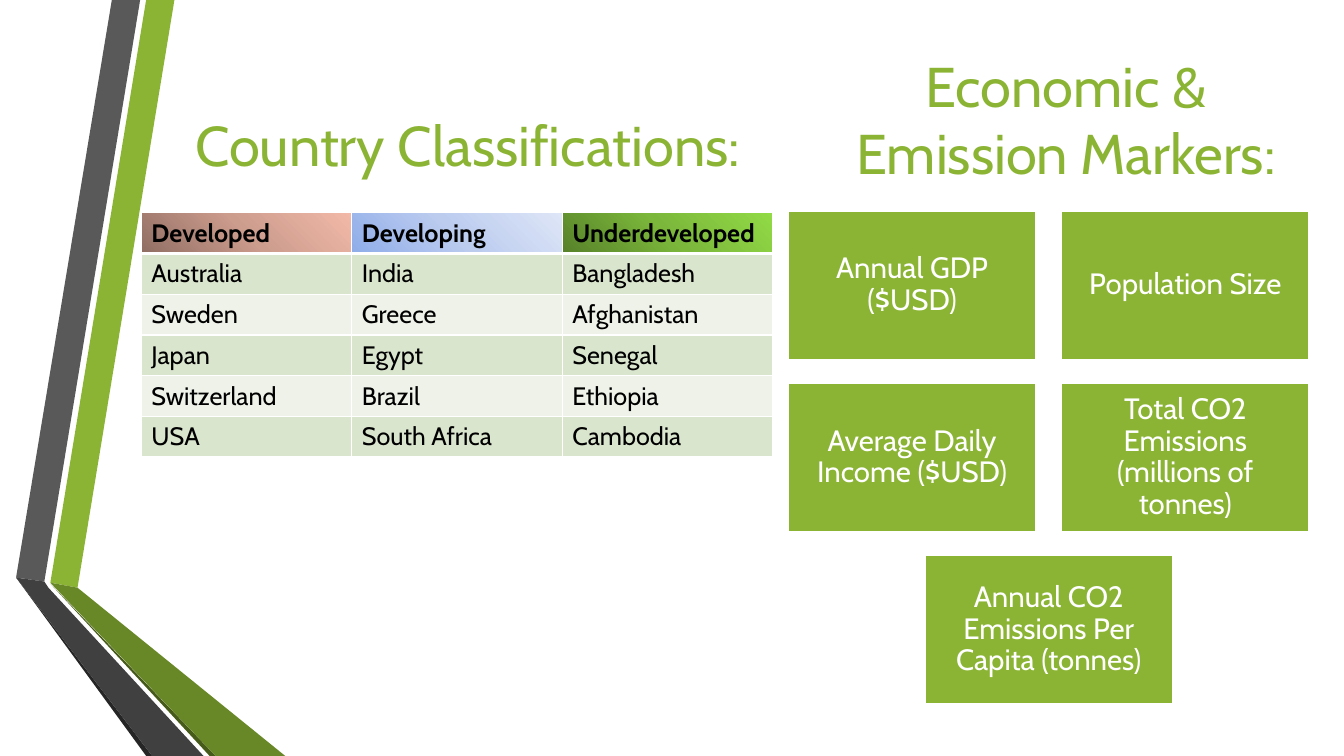
from copy import deepcopy

from lxml import etree
from pptx import Presentation
from pptx.dml.color import RGBColor
from pptx.enum.shapes import MSO_SHAPE
from pptx.enum.text import MSO_ANCHOR, PP_ALIGN
from pptx.oxml.ns import qn
from pptx.util import Pt

RECTANGLE = MSO_SHAPE.RECTANGLE
CENTER, LEFT = PP_ALIGN.CENTER, PP_ALIGN.LEFT
BOTTOM, MIDDLE, TOP = MSO_ANCHOR.BOTTOM, MSO_ANCHOR.MIDDLE, MSO_ANCHOR.TOP

WIDTH, HEIGHT = 960, 540
GREEN, WHITE, BLACK = "8BB434", "FFFFFF", "000000"
BANDS = ("DAE5CE", "EEF2E8")

RIBBONS = [
    (GREEN, [(36, 416.2), (55.4, 419.8), (124.6, 0), (104.4, 0)]),
    ("595959", [(100.1, 0), (79.9, 0), (11.5, 412.6), (31.7, 415.4)]),
    ("262626", [(11.5, 412.6), (104.4, HEIGHT), (108.7, HEIGHT)]),
    ("465A1A", [(36, 416.9), (149.8, HEIGHT), (154.1, HEIGHT)]),
    ("688727", [(36, 416.2), (154.1, HEIGHT), (203.8, HEIGHT), (55.4, 419.8)]),
    ("404040", [(145.4, HEIGHT), (34.6, 419.8), (31.7, 415.4), (11.5, 412.6),
                (108.7, HEIGHT)]),
]
HEADER_GRADIENTS = [
    ("906E63", "CC9C8D", "F2B9A8"),
    ("8FADE9", "BCCCEF", "DEE6F7"),
    ("57812A", "7BB73B", "92DA46"),
]
COUNTRIES = [
    ("Developed", "Developing", "Underdeveloped"),
    ("Australia", "India", "Bangladesh"),
    ("Sweden", "Greece", "Afghanistan"),
    ("Japan", "Egypt", "Senegal"),
    ("Switzerland", "Brazil", "Ethiopia"),
    ("USA", "South Africa", "Cambodia"),
]
# Each marker with its column and row; column 0.5 is centred between the two.
MARKERS = [
    ("Annual GDP ($USD)", 0, 0),
    ("Population Size", 1, 0),
    ("Average Daily Income ($USD)", 0, 1),
    ("Total CO2 Emissions (millions of tonnes)", 1, 1),
    ("Annual CO2 Emissions Per Capita (tonnes)", 0.5, 2),
]


def color(hex_string):
    return RGBColor.from_string(hex_string)


def write(frame, text, size=18, ink=BLACK, bold=False, align=LEFT, anchor=TOP,
          spacing=None, font="Cabin"):
    frame.word_wrap = True
    frame.vertical_anchor = anchor
    paragraph = frame.paragraphs[0]
    paragraph.alignment = align
    paragraph.line_spacing = spacing
    run = paragraph.add_run()
    run.text = text
    run.font.name = font
    run.font.size = Pt(size)
    run.font.bold = bold
    run.font.color.rgb = color(ink)


class SlideBuilder:
    def __init__(self, slide, accent=GREEN):
        self.slide = slide
        self.accent = accent

    def ribbon(self, fill, points):
        corners = [(Pt(x), Pt(y)) for x, y in points]
        builder = self.slide.shapes.build_freeform(*corners[0], scale=1.0)
        builder.add_line_segments(corners[1:], close=True)
        shape = builder.convert_to_shape()
        shape.shadow.inherit = False
        shape.fill.solid()
        shape.fill.fore_color.rgb = color(fill)
        shape.line.fill.background()

    def heading(self, text, left, top, width, height, bottom_inset=3.6):
        box = self.slide.shapes.add_textbox(Pt(left), Pt(top), Pt(width), Pt(height))
        box.text_frame.margin_bottom = Pt(bottom_inset)
        write(box.text_frame, text, size=40, ink=self.accent, align=CENTER,
              anchor=BOTTOM)

    def tile(self, text, left, top, width, height):
        shape = self.slide.shapes.add_shape(RECTANGLE, Pt(left), Pt(top),
                                            Pt(width), Pt(height))
        shape.shadow.inherit = False
        shape.fill.solid()
        shape.fill.fore_color.rgb = color(self.accent)
        shape.line.color.rgb = color(WHITE)
        shape.line.width = Pt(1.25)
        frame = shape.text_frame
        frame.margin_left = frame.margin_right = Pt(6.5)
        frame.margin_top = frame.margin_bottom = Pt(6.5)
        write(frame, text, size=21, ink=WHITE, align=CENTER, anchor=MIDDLE,
              spacing=0.9)

    def table(self, rows, left, top, width, row_height):
        frame = self.slide.shapes.add_table(
            len(rows), len(rows[0]), Pt(left), Pt(top), Pt(width),
            Pt(row_height * len(rows)))
        for row, texts in enumerate(rows):
            for column, text in enumerate(texts):
                cell = frame.table.cell(row, column)
                write(cell.text_frame, text, bold=row == 0)
                if row == 0:
                    self.gradient(cell, HEADER_GRADIENTS[column])
                else:
                    cell.fill.solid()
                    cell.fill.fore_color.rgb = color(BANDS[(row - 1) % 2])
                self.borders(cell, top=3 if row == 1 else 1,
                             bottom=3 if row == 0 else 1)

    def gradient(self, cell, colors):
        """Fill a cell with three evenly spaced colours, rising to the right."""
        cell.fill.gradient()
        cell.fill.gradient_angle = 45
        stop_list = next(cell._tc.iter(qn("a:gsLst")))
        stop_list.insert(1, deepcopy(stop_list[0]))
        for index, stop in enumerate(cell.fill.gradient_stops):
            stop.position = index / 2
            stop.color.rgb = color(colors[index])

    def borders(self, cell, top, bottom):
        properties = cell._tc.get_or_add_tcPr()
        sides = (("a:lnL", 1), ("a:lnR", 1), ("a:lnT", top), ("a:lnB", bottom))
        for index, (tag, width) in enumerate(sides):
            line = etree.Element(qn(tag), w=str(Pt(width)))
            fill = etree.SubElement(line, qn("a:solidFill"))
            etree.SubElement(fill, qn("a:srgbClr"), val=WHITE)
            properties.insert(index, line)


def main():
    presentation = Presentation()
    presentation.slide_width, presentation.slide_height = Pt(WIDTH), Pt(HEIGHT)
    blank = presentation.slide_layouts[6]
    builder = SlideBuilder(presentation.slides.add_slide(blank))

    for fill, points in RIBBONS:
        builder.ribbon(fill, points)
    builder.heading("Country Classifications:", 116.6, 44, 435, 134, bottom_inset=51)
    builder.table(COUNTRIES, 101, 152, 451, 29.1)
    builder.heading("Economic & Emission Markers:", 602, 20, 319, 116)
    for text, column, row in MARKERS:
        builder.tile(text, 563 + 195.2 * column, 150.5 + 123 * row, 177, 106.5)

    presentation.save("out.pptx")


if __name__ == "__main__":
    main()
